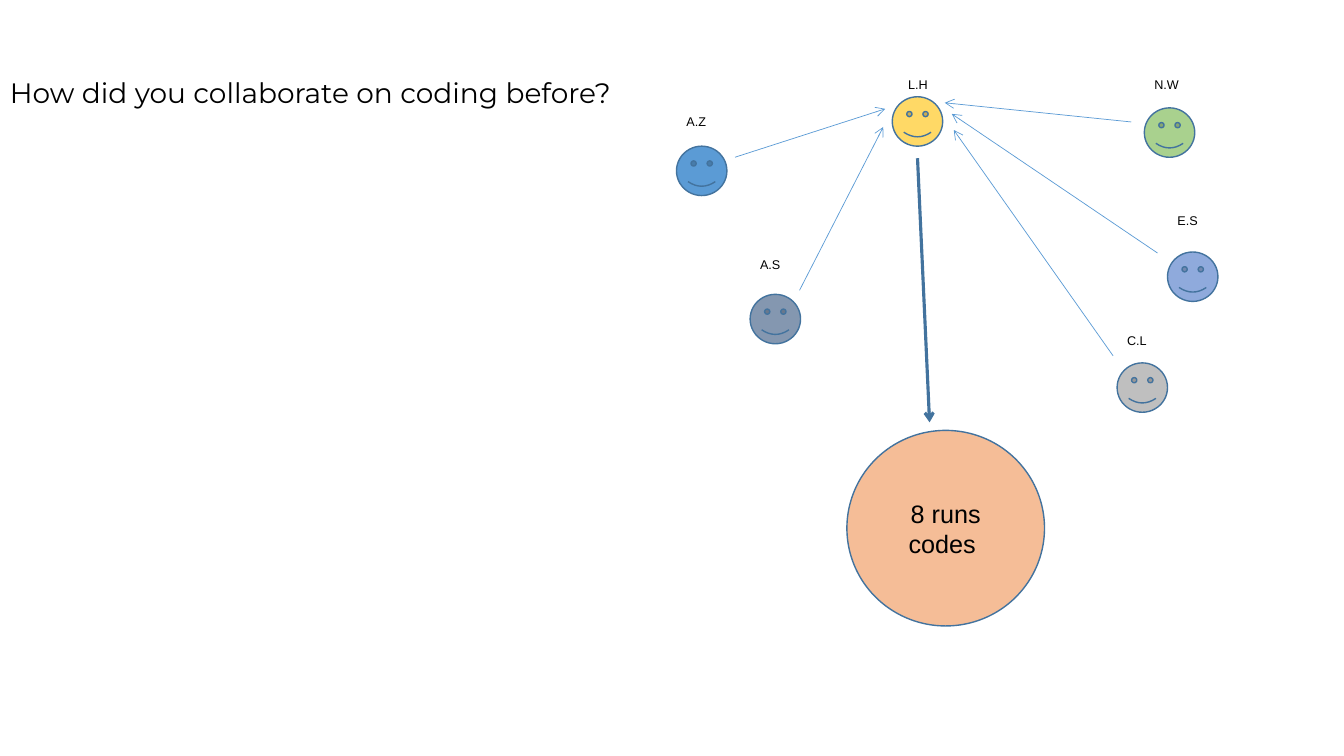
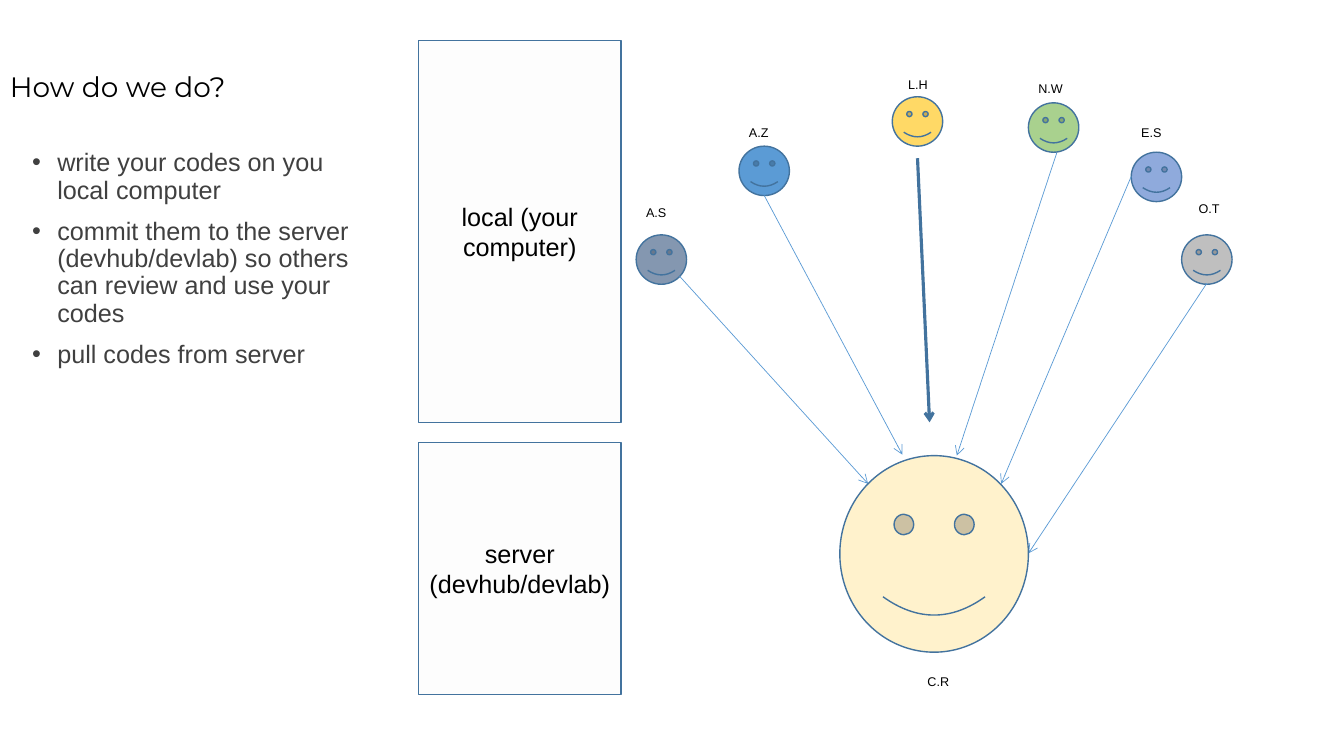
from lxml import etree
from pptx import Presentation
from pptx import util as u
from pptx.dml.color import RGBColor
from pptx.enum import shapes, text
from pptx.oxml.ns import qn

# Colours
BLACK = RGBColor(0x00, 0x00, 0x00)
GRAY = RGBColor(0x40, 0x40, 0x40)
EDGE = RGBColor(0x43, 0x73, 0x9E)
BLUE = RGBColor(0x5B, 0x9B, 0xD5)
GOLD = RGBColor(0xFF, 0xD9, 0x66)
SLATE = RGBColor(0x84, 0x97, 0xB0)
LILAC = RGBColor(0x8F, 0xAA, 0xDC)
GREEN = RGBColor(0xA9, 0xD1, 0x8E)
SILVER = RGBColor(0xBF, 0xBF, 0xBF)
CREAM = RGBColor(0xFF, 0xF2, 0xCC)
ORANGE = RGBColor(0xED, 0x7D, 0x31)
PALE = RGBColor(0xE7, 0xE6, 0xE6)

BODY, HEAD = "Arial", "Montserrat"
KIND = shapes.MSO_SHAPE
FACE = (0.5, 0.49)

# Faces: name, colour, left, top, then left and top of the label
LEAD = ("L.H", GOLD, 8.85, 0.96, 8.91, 0.71)
BEFORE = [
    LEAD,
    ("A.Z", BLUE, 6.71, 1.45, 6.71, 1.08),
    ("A.S", SLATE, 7.44, 2.92, 7.44, 2.5),
    ("E.S", LILAC, 11.58, 2.5, 11.58, 2.06),
    ("N.W", GREEN, 11.35, 1.07, 11.35, 0.71),
    ("C.L", SILVER, 11.08, 3.6, 11.08, 3.25),
]
NOW = [
    LEAD,
    ("A.Z", BLUE, 7.33, 1.45, 7.33, 1.19),
    ("A.S", SLATE, 6.31, 2.33, 6.31, 1.98),
    ("E.S", LILAC, 11.22, 1.51, 11.22, 1.19),
    ("N.W", GREEN, 10.2, 1.02, 10.2, 0.75),
    ("O.T", SILVER, 11.72, 2.33, 11.79, 1.94),
]

# Thin arrows: start x, y and end x, y
TO_LEAD = [
    (7.29, 1.56, 8.78, 1.08),
    (7.93, 2.88, 8.76, 1.26),
    (11.22, 1.21, 9.37, 1.02),
    (11.48, 2.51, 9.44, 1.13),
    (11.04, 3.53, 9.46, 1.29),
]
TO_HOST = [
    (7.58, 1.94, 8.95, 4.51),
    (6.74, 2.74, 8.61, 4.8),
    (10.48, 1.52, 9.49, 4.52),
    (11.22, 1.75, 9.93, 4.8),
    (11.97, 2.81, 10.2, 5.49),
]
STEPS = [
    "write your codes on you local computer",
    "commit them to the server (devhub/devlab) so others can "
    "review and use your codes",
    "pull codes from server",
]


def inches(*nums):
    return [u.Inches(n) for n in nums]


def add_run(para, words, size, color=BLACK, font=BODY):
    run = para.add_run()
    run.text = words
    run.font.size = u.Pt(size)
    run.font.name = font
    run.font.color.rgb = color


def add_box(slide, *area):
    frame = slide.shapes.add_textbox(*inches(*area)).text_frame
    frame.word_wrap = True
    return frame


def add_title(slide, words, top, width):
    frame = add_box(slide, 0, top, width, 1.45)
    frame.vertical_anchor = text.MSO_ANCHOR.MIDDLE
    para = frame.paragraphs[0]
    para.line_spacing = 0.9
    add_run(para, words, 20, font=HEAD)


def add_label(slide, words, left, top, width=0.5):
    add_run(add_box(slide, left, top, width, 0.25).paragraphs[0], words, 9)


def add_form(slide, kind, area, color, alpha=100, words=""):
    form = slide.shapes.add_shape(kind, *inches(*area))
    form.shadow.inherit = False
    form.fill.solid()
    form.fill.fore_color.rgb = color
    if alpha < 100:
        tint = form.fill._xPr.find(".//" + qn("a:srgbClr"))
        etree.SubElement(tint, qn("a:alpha"), val=str(alpha * 1000))
    form.line.color.rgb = EDGE
    form.line.width = u.Pt(1)
    if words:
        frame = form.text_frame
        frame.word_wrap = True
        frame.vertical_anchor = text.MSO_ANCHOR.MIDDLE
        para = frame.paragraphs[0]
        para.alignment = text.PP_ALIGN.CENTER
        add_run(para, words, 18)


def add_arrow(slide, ends, color=BLUE, width=0.5):
    line = slide.shapes.add_connector(
        shapes.MSO_CONNECTOR.STRAIGHT, *inches(*ends))
    line.line.color.rgb = color
    line.line.width = u.Pt(width)
    etree.SubElement(line.line._get_or_add_ln(), qn("a:tailEnd"), type="arrow")
    etree.SubElement(line._element.spPr, qn("a:effectLst"))


def add_list(slide, items, *area):
    frame = add_box(slide, *area)
    for num, item in enumerate(items):
        para = frame.add_paragraph() if num else frame.paragraphs[0]
        para.line_spacing = 0.9
        para.space_before = u.Pt(10)
        props = para._p.get_or_add_pPr()
        props.set("marL", str(u.Inches(0.25)))
        props.set("indent", str(u.Inches(-0.25)))
        etree.SubElement(props, qn("a:buFont"), typeface=BODY)
        etree.SubElement(props, qn("a:buChar"), char="•")
        add_run(para, item, 18, GRAY)


def add_team(slide, team, links):
    for name, color, left, top, tag_x, tag_y in team:
        add_form(slide, KIND.SMILEY_FACE, (left, top, *FACE), color)
        add_label(slide, name, tag_x, tag_y)
    for ends in links:
        add_arrow(slide, ends)
    # Thick arrow down from the lead
    add_arrow(slide, (9.1, 1.57, 9.22, 4.19), EDGE, 2.25)


def build_before(slide):
    add_form(slide, KIND.OVAL, (8.4, 4.27, 1.96, 1.94), ORANGE, 50,
             "8 runs codes ")
    add_team(slide, BEFORE, TO_LEAD)
    add_title(slide, "How did you collaborate on coding before?", 0.21, 11.5)


def build_now(slide):
    add_team(slide, NOW, TO_HOST)
    add_title(slide, "How do we do?", 0.15, 3.56)
    # Server face
    add_form(slide, KIND.SMILEY_FACE, (8.33, 4.52, 1.87, 1.95), CREAM)
    add_label(slide, "C.R", 9.1, 6.64, 0.68)
    # Local and server zones
    add_form(slide, KIND.RECTANGLE, (4.15, 0.4, 2.01, 3.79), PALE, 8,
             "local (your computer)")
    add_form(slide, KIND.RECTANGLE, (4.15, 4.39, 2.01, 2.5), PALE, 8,
             "server (devhub/devlab)")
    add_list(slide, STEPS, 0.22, 1.44, 3.67, 5.31)


def main():
    deck = Presentation()
    deck.slide_width, deck.slide_height = inches(13.33, 7.5)
    for build in (build_before, build_now):
        build(deck.slides.add_slide(deck.slide_layouts[6]))
    deck.save("out.pptx")


if __name__ == "__main__":
    main()
